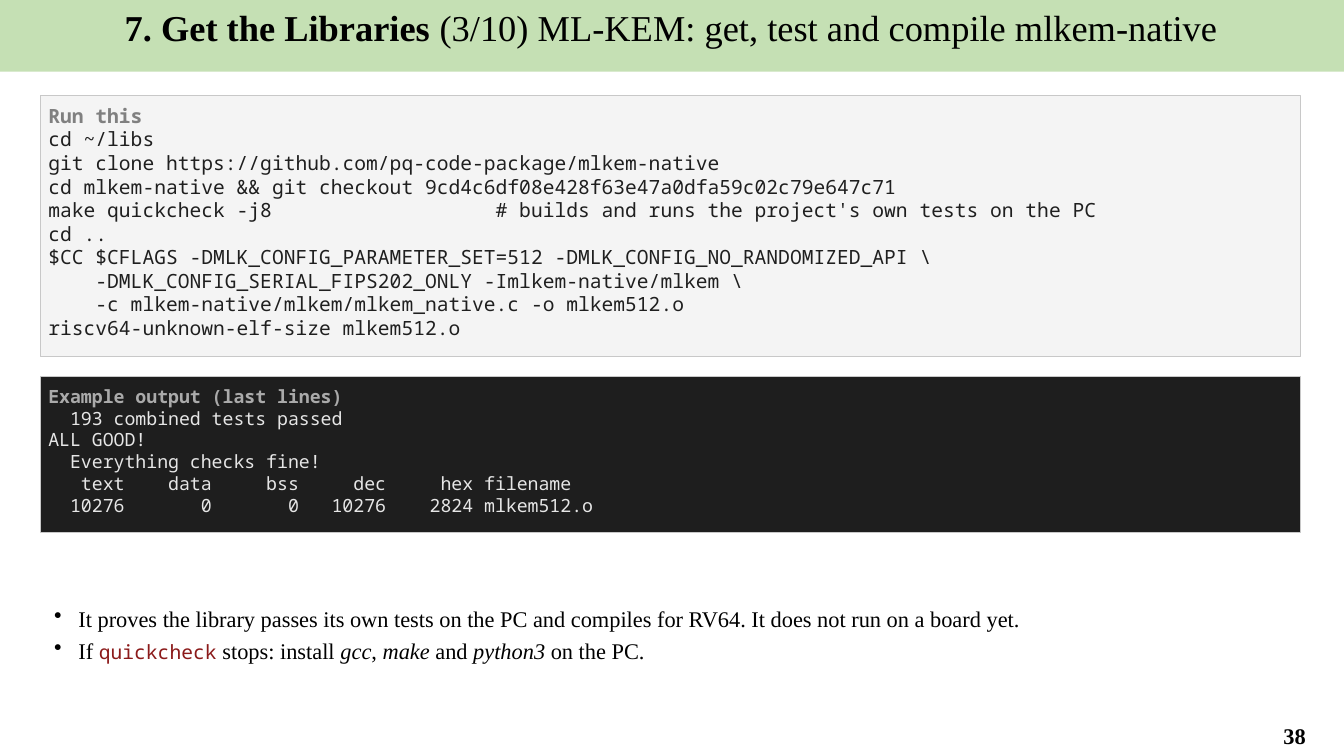
import pptx
import pptx.util
import pptx.dml.color
import pptx.enum.shapes
import pptx.enum.text
import lxml.etree

PX = 9144  # EMU per px, 100 px to the inch
SERIF, MONO = "Times New Roman", "Noto Sans Mono"
THEME = {
    "banner": "C5E0B4", "border": "C8C8C8",
    "command_panel": "F4F4F4", "output_panel": "1E1E1E",
    # text styles: font, size, colour, bold, italic
    "title": (SERIF, 26, "000000", True, False),
    "subtitle": (SERIF, 26, "000000", False, False),
    "page": (SERIF, 16, "000000", True, False),
    "command_label": (MONO, 14, "808080", True, False),
    "command": (MONO, 14, "1F1F1F", False, False),
    "output_label": (MONO, 13, "AAAAAA", True, False),
    "output": (MONO, 13, "E6E6E6", False, False),
    "note": (SERIF, 16, "000000", False, False),
    "tool": (SERIF, 16, "000000", False, True),
    "inline_code": (MONO, 14, "8B1A1A", False, False),
}
ALIGN = pptx.enum.text.PP_ALIGN
ANCHOR = pptx.enum.text.MSO_ANCHOR
RGB = pptx.dml.color.RGBColor.from_string


def add_box(left, top, width, height, fill=None, border=None):
    bounds = [pptx.util.Emu(v * PX) for v in (left, top, width, height)]
    if fill is None:
        return slide.shapes.add_textbox(*bounds).text_frame
    box = slide.shapes.add_shape(pptx.enum.shapes.MSO_SHAPE.RECTANGLE, *bounds)
    box.shadow.inherit = False
    box.fill.solid()
    box.fill.fore_color.rgb = RGB(THEME[fill])
    if border:
        box.line.color.rgb = RGB(THEME[border])
        box.line.width = pptx.util.Pt(0.75)
    else:
        box.line.fill.background()
    return box.text_frame


def write(frame, lines, align=ALIGN.LEFT):
    for number, pieces in enumerate(lines):
        paragraph = frame.add_paragraph() if number else frame.paragraphs[0]
        paragraph.alignment = align
        for text, style in pieces:
            run = paragraph.add_run()
            run.text = text
            face, size, color, bold, italic = THEME[style]
            values = {"name": face, "size": pptx.util.Pt(size), "bold": bold, "italic": italic}
            for attribute, value in values.items():
                setattr(run.font, attribute, value)
            run.font.color.rgb = RGB(color)


deck = pptx.Presentation()
deck.slide_width = pptx.util.Emu(1333 * PX)
deck.slide_height = pptx.util.Emu(750 * PX)
slide = deck.slides.add_slide(deck.slide_layouts[6])

# Title banner
banner = add_box(-1, 0, 1334, 71, "banner")
banner.word_wrap = True
banner.vertical_anchor = ANCHOR.TOP
write(banner, [[("7. Get the Libraries ", "title"),
                ("(3/10) ML-KEM: get, test and compile mlkem-native", "subtitle")]], ALIGN.CENTER)

# Page number
page = add_box(1235, 710, 98, 39)
page.word_wrap = True
page.vertical_anchor = ANCHOR.MIDDLE
write(page, [[("38", "page")]], ALIGN.CENTER)

# Command and output panels
COMMANDS = r"""Run this
cd ~/libs
git clone https://github.com/pq-code-package/mlkem-native
cd mlkem-native && git checkout 9cd4c6df08e428f63e47a0dfa59c02c79e647c71
make quickcheck -j8                   # builds and runs the project's own tests on the PC
cd ..
$CC $CFLAGS -DMLK_CONFIG_PARAMETER_SET=512 -DMLK_CONFIG_NO_RANDOMIZED_API \
    -DMLK_CONFIG_SERIAL_FIPS202_ONLY -Imlkem-native/mlkem \
    -c mlkem-native/mlkem/mlkem_native.c -o mlkem512.o
riscv64-unknown-elf-size mlkem512.o"""
OUTPUT = """Example output (last lines)
  193 combined tests passed
ALL GOOD!
  Everything checks fine!
   text    data     bss     dec     hex filename
  10276       0       0   10276    2824 mlkem512.o"""
for kind, top, height, listing in (("command", 95, 259, COMMANDS), ("output", 374, 154, OUTPUT)):
    panel = add_box(40, top, 1250, height, f"{kind}_panel", "border")
    panel_format = {"word_wrap": False, "vertical_anchor": ANCHOR.TOP}
    panel_format.update({f"margin_{side}": pptx.util.Emu(8 * PX)
                         for side in ("left", "top", "right", "bottom")})
    for attribute, value in panel_format.items():
        setattr(panel, attribute, value)
    label, *code = listing.split("\n")
    write(panel, [[(label, f"{kind}_label")]] + [[(line, kind)] for line in code])

# Notes
notes = add_box(40, 595, 1250, 100)
notes.word_wrap = True
write(notes, [
    [("It proves the library passes its own tests on the PC and compiles for RV64. "
      "It does not run on a board yet.", "note")],
    [("If ", "note"), ("quickcheck", "inline_code"), (" stops: install ", "note"),
     ("gcc", "tool"), (", ", "note"), ("make", "tool"), (" and ", "note"),
     ("python3", "tool"), (" on the PC.", "note")],
])
for note in notes.paragraphs:
    note.space_after = pptx.util.Pt(4)
    properties = note._p.get_or_add_pPr()
    properties.set("marL", str(28 * PX))
    properties.set("indent", str(-24 * PX))
    lxml.etree.SubElement(properties, pptx.oxml.ns.qn("a:buChar")).set("char", "•")

deck.save("out.pptx")
